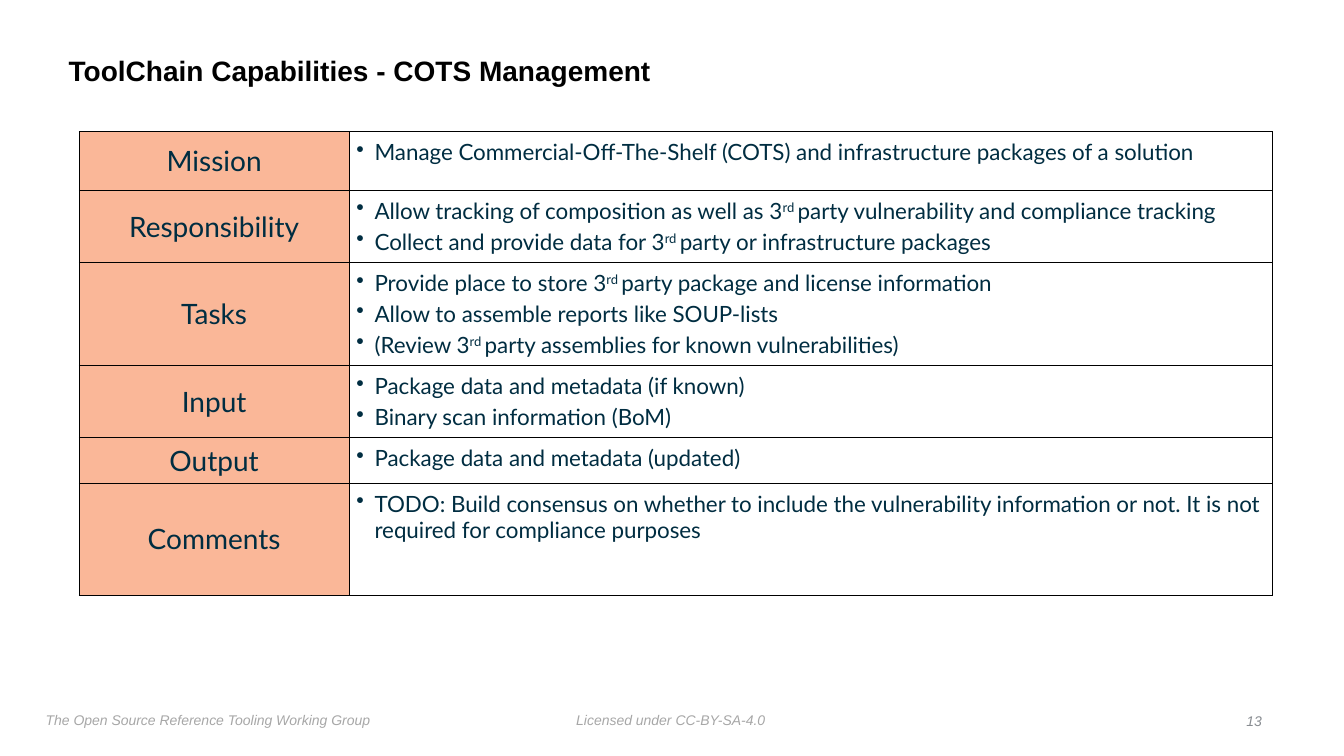
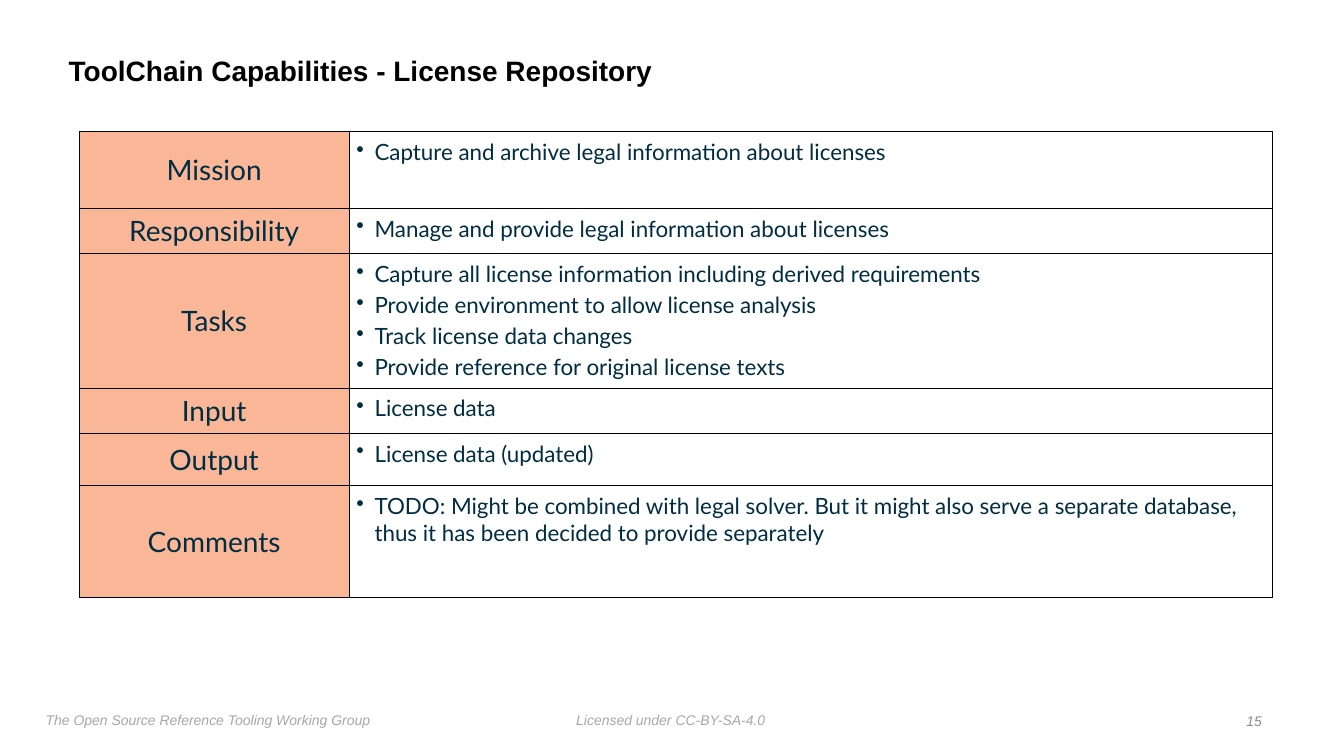
import pptx
import pptx.dml.color
import pptx.enum.text
import pptx.oxml
import pptx.oxml.ns
import pptx.util

Pt = pptx.util.Pt
ALIGN = pptx.enum.text.PP_ALIGN
ANCHOR = pptx.enum.text.MSO_ANCHOR
FIT = pptx.enum.text.MSO_AUTO_SIZE

BLACK, NAVY, PEACH = "000000", "002D41", "FAB798"
GREY, SLATE = "A7A7A7", "888C91"
HEAD, BODY = "Arial", "Lato"
COLS = 193, 659.5

# Each row: label, height, bullets; text between carets is superscript.
COTS = [
    ("Mission", 41.8, [
        "Manage Commercial-Off-The-Shelf (COTS) and infrastructure packages of a solution"]),
    ("Responsibility", 51.4, [
        "Allow tracking of composition as well as 3^rd ^party vulnerability and compliance tracking",
        "Collect and provide data for 3^rd ^party or infrastructure packages"]),
    ("Tasks", 73.4, [
        "Provide place to store 3^rd ^party package and license information",
        "Allow to assemble reports like SOUP-lists",
        "(Review 3^rd ^party assemblies for known vulnerabilities)"]),
    ("Input", 51.4, [
        "Package data and metadata (if known)",
        "Binary scan information (BoM)"]),
    ("Output", 32.4, ["Package data and metadata (updated)"]),
    ("Comments", 80, [
        "TODO: Build consensus on whether to include the vulnerability information or not. "
        "It is not required for compliance purposes"]),
]
LICENSE = [
    ("Mission", 54.7, ["Capture and archive legal information about licenses"]),
    ("Responsibility", 32.4, ["Manage and provide legal information about licenses"]),
    ("Tasks", 95.6, [
        "Capture all license information including derived requirements",
        "Provide environment to allow license analysis",
        "Track license data changes",
        "Provide reference for original license texts"]),
    ("Input", 32.4, ["License data"]),
    ("Output", 37.5, ["License data (updated)"]),
    ("Comments", 80, [
        "TODO: Might be combined with legal solver. But it might also serve a separate "
        "database, thus it has been decided to provide separately"]),
]


def rgb(code):
    return pptx.dml.color.RGBColor.from_string(code)


def style(font, name, size, color, bold=False, italic=False):
    font.name, font.size = name, Pt(size)
    font.bold, font.italic = bold, italic
    font.color.rgb = rgb(color)


def inset(item, gap):
    """Set equal margins on a text frame or a cell."""
    item.margin_left = item.margin_right = Pt(gap)
    item.margin_top = item.margin_bottom = Pt(gap)


def label(slide, text, left, top, width, height, wrap=False,
          anchor=ANCHOR.TOP, align=ALIGN.LEFT, size=10, color=GREY, **face):
    box = slide.shapes.add_textbox(Pt(left), Pt(top), Pt(width), Pt(height))
    frame = box.text_frame
    inset(frame, 3.6)
    frame.word_wrap = wrap
    frame.auto_size = FIT.NONE if wrap else FIT.SHAPE_TO_FIT_TEXT
    frame.vertical_anchor = anchor
    frame.text = text
    para = frame.paragraphs[0]
    para.alignment = align
    style(para.runs[0].font, HEAD, size, color, **face)
    return para


def border(cell):
    props = cell._tc.get_or_add_tcPr()
    for side in "LRTB":
        props.append(pptx.oxml.parse_xml(
            f'<a:ln{side} {pptx.oxml.ns.nsdecls("a")} w="{Pt(0.5)}">'
            f'<a:solidFill><a:srgbClr val="{BLACK}"/></a:solidFill></a:ln{side}>'))


def bullet(para, text):
    props = para._p.get_or_add_pPr()
    props.set("marL", str(Pt(13)))
    props.set("indent", str(Pt(-13)))
    props.append(pptx.oxml.parse_xml(
        f'<a:buChar {pptx.oxml.ns.nsdecls("a")} char="•"/>'))
    for pos, part in enumerate(text.split("^")):
        run = para.add_run()
        run.text = part
        style(run.font, BODY, 16, NAVY)
        if pos % 2:
            run._r.get_or_add_rPr().set("baseline", "30000")


def name_cell(cell, text):
    border(cell)
    cell.fill.solid()
    cell.fill.fore_color.rgb = rgb(PEACH)
    inset(cell, 0)
    cell.vertical_anchor = ANCHOR.MIDDLE
    cell.text = text
    para = cell.text_frame.paragraphs[0]
    para.alignment = ALIGN.CENTER
    style(para.runs[0].font, BODY, 20, NAVY)


def list_cell(cell, items):
    border(cell)
    cell.fill.background()
    inset(cell, 5.1)
    frame = cell.text_frame
    for pos, text in enumerate(items):
        para = frame.add_paragraph() if pos else frame.paragraphs[0]
        if pos:
            para.space_before = Pt(3)
        bullet(para, text)


def grid(slide, rows):
    high = sum(row[1] for row in rows)
    table = slide.shapes.add_table(
        len(rows), len(COLS), Pt(56.5), Pt(94), Pt(sum(COLS)), Pt(high)).table
    table.first_row = table.horz_banding = False
    for col, width in zip(table.columns, COLS):
        col.width = Pt(width)
    for pos, (name, height, items) in enumerate(rows):
        table.rows[pos].height = Pt(height)
        name_cell(table.cell(pos, 0), name)
        list_cell(table.cell(pos, 1), items)


def page(deck, topic, rows, number):
    slide = deck.slides.add_slide(deck.slide_layouts[6])
    label(slide, "Licensed under CC-BY-SA-4.0", 408, 504.7, 143.3, 18, italic=True)
    label(slide, "The Open Source Reference Tooling Working Group",
          29, 504.7, 240.5, 18, italic=True)
    title = label(slide, f"ToolChain Capabilities - {topic}", 45.4, 28, 774, 47,
                  wrap=True, anchor=ANCHOR.MIDDLE, size=20, color=BLACK, bold=True)
    title.line_spacing = 0.9
    grid(slide, rows)
    label(slide, str(number), 885.6, 506, 19.4, 18, anchor=ANCHOR.MIDDLE,
          align=ALIGN.RIGHT, color=SLATE, italic=True)


def main():
    deck = pptx.Presentation()
    deck.slide_width, deck.slide_height = Pt(960), Pt(540)
    page(deck, "COTS Management", COTS, 13)
    page(deck, "License Repository", LICENSE, 15)
    deck.save("out.pptx")


if __name__ == "__main__":
    main()
